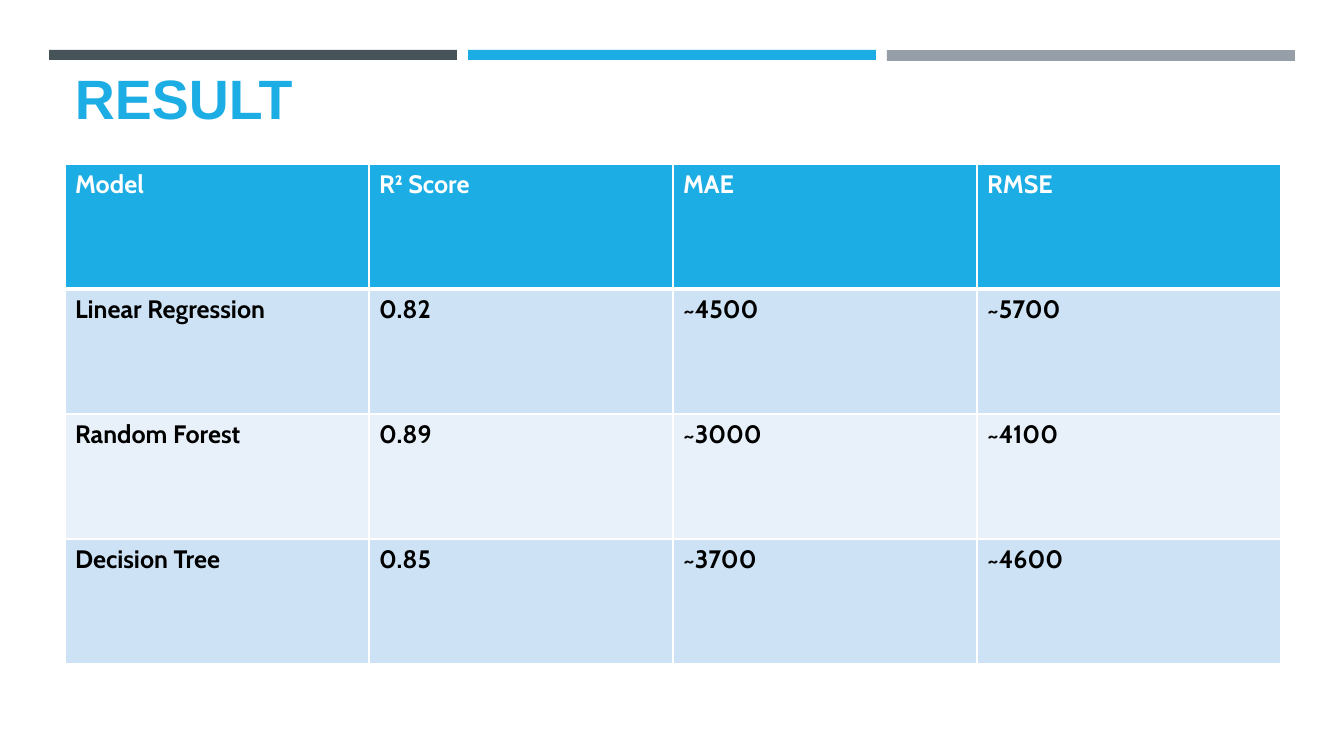
import pptx
import pptx.util
import pptx.dml.color
import pptx.enum.shapes
import pptx.enum.text
import pptx.oxml
import pptx.oxml.ns

THEME = {
    "slate": "465359", "blue": "1CADE4", "gray": "969FA7",
    "white": "FFFFFF", "black": "000000",
    "bands": ["CDE3F5", "E8F1FA"],
    "title_font": "Arial", "title_size": 39.6,
    "table_font": "Cabin", "table_size": 18,
}
EMU_PER_PX = 914400 / 100.8


def px(*lengths):
    return [pptx.util.Emu(round(length * EMU_PER_PX)) for length in lengths]


def style_font(font, name, size, colour):
    font.name = name
    font.size = pptx.util.Pt(size)
    font.bold = True
    font.color.rgb = pptx.dml.color.RGBColor.from_string(colour)


deck = pptx.Presentation()
deck.slide_width, deck.slide_height = px(1344, 756)
page = deck.slides.add_slide(deck.slide_layouts[6])

for index, (colour, height) in enumerate([("slate", 10), ("blue", 10), ("gray", 11)]):
    bar = page.shapes.add_shape(
        pptx.enum.shapes.MSO_SHAPE.RECTANGLE, *px(49 + index * 419, 50, 408, height))
    bar.shadow.inherit = False
    bar.fill.solid()
    bar.fill.fore_color.rgb = pptx.dml.color.RGBColor.from_string(THEME[colour])
    bar.line.fill.background()

title_box = page.shapes.add_textbox(*px(65, 78, 1216, 58))
title_box.text_frame.word_wrap = True
title_box.text_frame.vertical_anchor = pptx.enum.text.MSO_ANCHOR.BOTTOM
title_para = title_box.text_frame.paragraphs[0]
title_para.text = "RESULT"
style_font(title_para.font, THEME["title_font"], THEME["title_size"], THEME["blue"])

results = [
    ["Model", "R² Score", "MAE", "RMSE"],
    ["Linear Regression", "0.82", "~4500", "~5700"],
    ["Random Forest", "0.89", "~3000", "~4100"],
    ["Decision Tree", "0.85", "~3700", "~4600"],
]
table = page.shapes.add_table(4, 4, *px(65, 164, 1216, 500)).table

for row_index, row in enumerate(results):
    is_header = row_index == 0
    fill_colour = THEME["blue"] if is_header else THEME["bands"][(row_index - 1) % 2]
    text_colour = THEME["white"] if is_header else THEME["black"]
    widths = {
        "lnL": 1, "lnR": 1,
        "lnT": 3 if row_index == 1 else 1,
        "lnB": 3 if is_header else 1,
    }
    for column_index, text in enumerate(row):
        cell = table.cell(row_index, column_index)
        cell.fill.solid()
        cell.fill.fore_color.rgb = pptx.dml.color.RGBColor.from_string(fill_colour)
        para = cell.text_frame.paragraphs[0]
        para.text = text
        style_font(para.font, THEME["table_font"], THEME["table_size"], text_colour)
        properties = cell._tc.get_or_add_tcPr()
        for position, (side, width) in enumerate(widths.items()):
            border = pptx.oxml.parse_xml(
                f'<a:{side} {pptx.oxml.ns.nsdecls("a")} w="{pptx.util.Pt(width)}">'
                f'<a:solidFill><a:srgbClr val="{THEME["white"]}"/></a:solidFill></a:{side}>')
            properties.insert(position, border)

deck.save("out.pptx")
